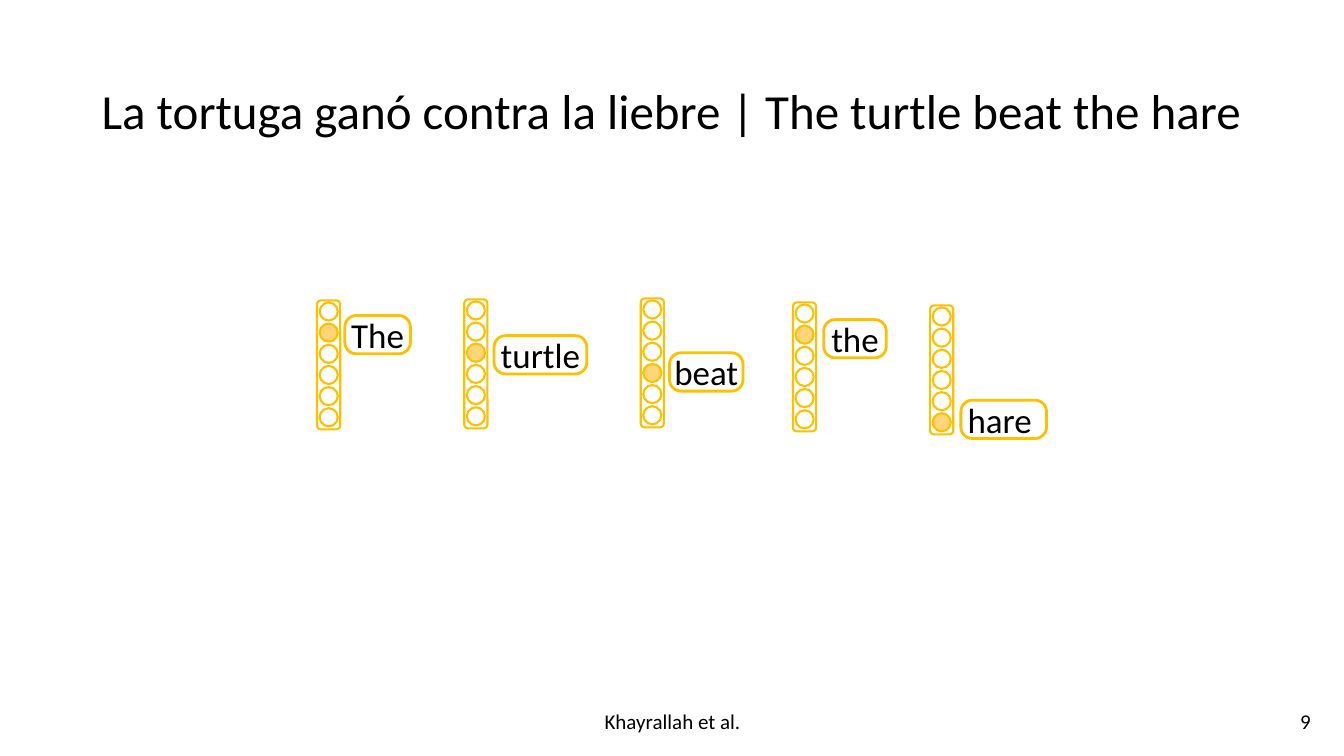
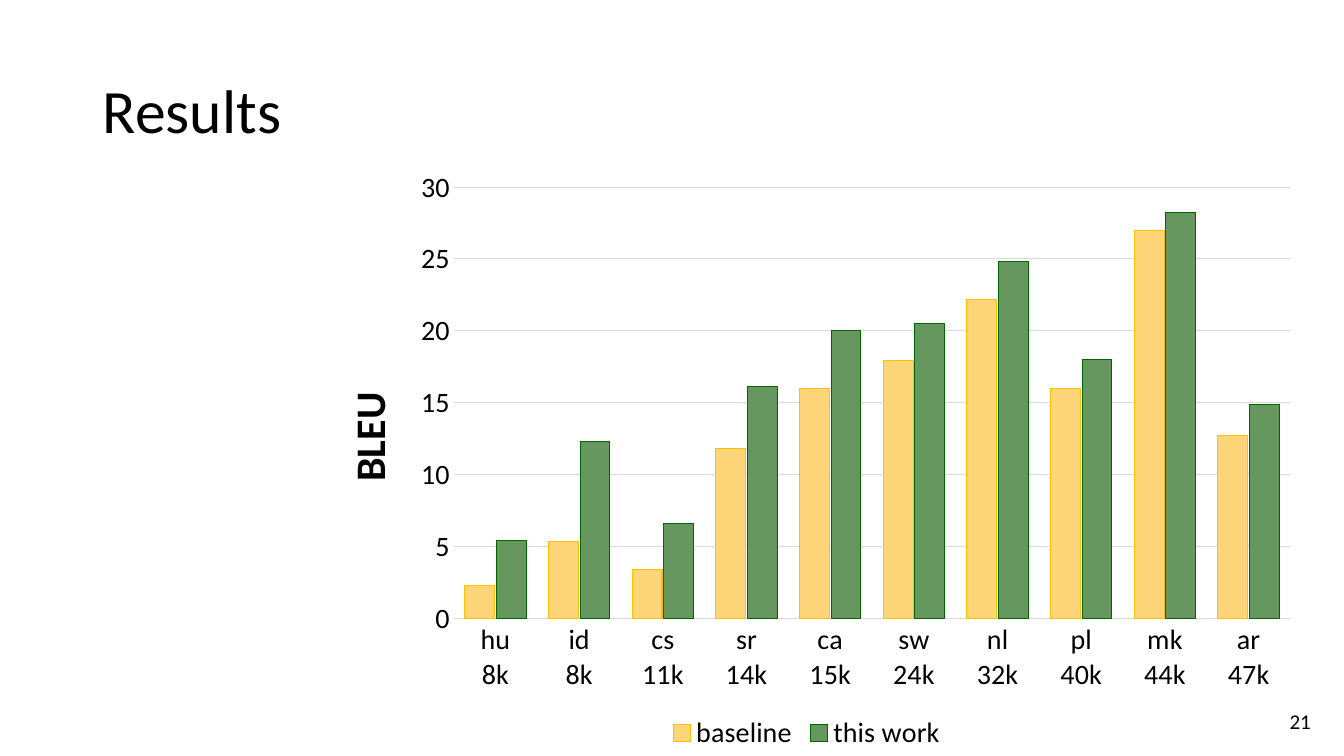
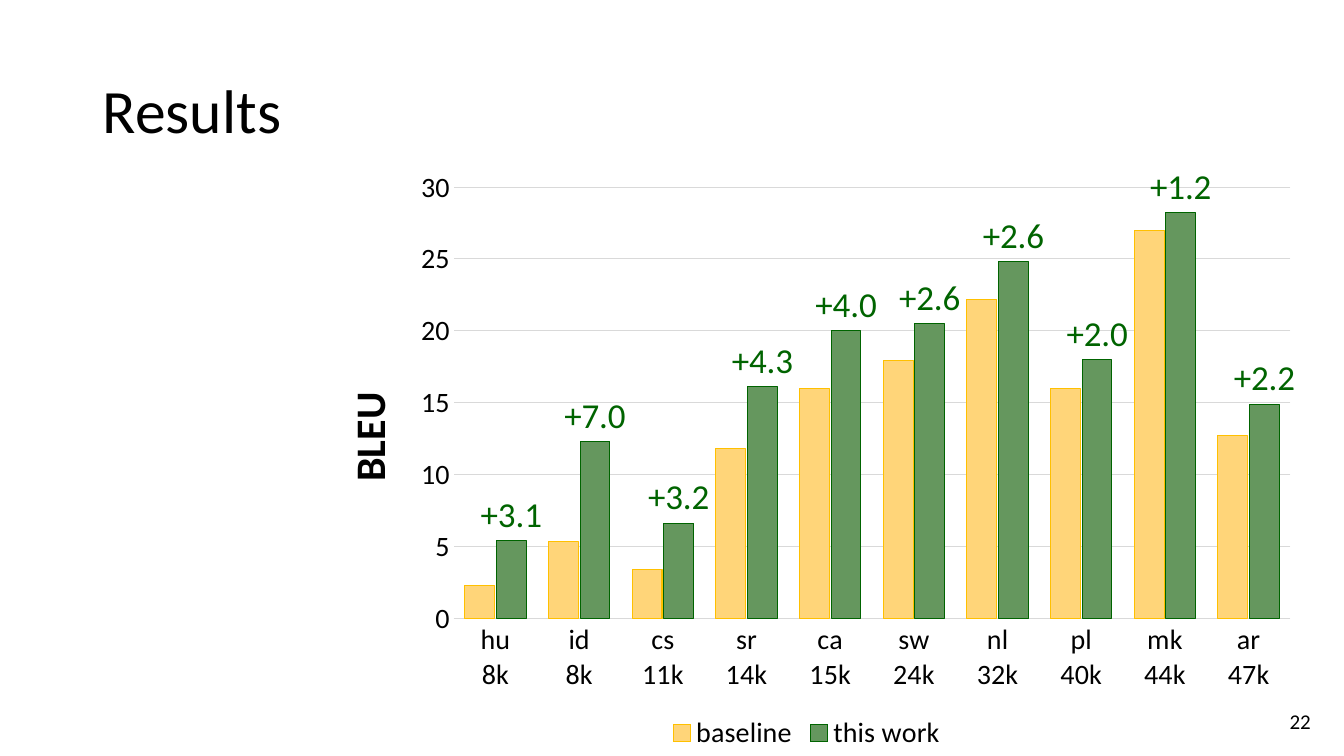
from dataclasses import dataclass

from pptx import Presentation
from pptx import util as u
from pptx.chart.chart import Chart
from pptx.chart.data import CategoryChartData
from pptx.dml.color import RGBColor
from pptx.enum import chart as charts, shapes, text
from pptx.oxml import parse_xml
from pptx.oxml.ns import nsdecls, qn
from pptx.slide import Slide

FONT = "Calibri"
BLACK = RGBColor(0x00, 0x00, 0x00)
WHITE = RGBColor(0xFF, 0xFF, 0xFF)
GOLD = RGBColor(0xFF, 0xC0, 0x00)
LIGHT_GOLD = RGBColor(0xFF, 0xD5, 0x79)
GREEN = RGBColor(0x00, 0x64, 0x00)
LIGHT_GREEN = RGBColor(0x65, 0x97, 0x5E)
GRID_GRAY = RGBColor(0xD9, 0xD9, 0xD9)

TITLE_ONLY_LAYOUT = 5

CELL_COUNT = 6
CELL_SIZE = 0.18
CELL_PITCH = 0.21
VECTOR_WIDTH = 0.23
VECTOR_HEIGHT = 1.28
LABEL_HEIGHT = 0.38


@dataclass(frozen=True)
class WordVector:
    """A one-hot column and the word that its filled cell stands for."""
    word: str
    center: float
    top: float
    hot_cell: int
    label_left: float
    label_top: float
    label_width: float


@dataclass(frozen=True)
class Language:
    code: str
    size: str
    baseline: float
    this_work: float


WORD_VECTORS = [
    WordVector("The", 3.26, 2.98, 1, 3.42, 3.13, 0.65),
    WordVector("turtle", 4.72, 2.97, 2, 4.90, 3.33, 0.92),
    WordVector("beat ", 6.47, 2.96, 3, 6.64, 3.50, 0.73),
    WordVector("the", 7.98, 3.00, 1, 8.17, 3.17, 0.62),
    WordVector("hare ", 9.34, 3.03, 5, 9.53, 3.97, 0.85),
]

LANGUAGES = [
    Language("hu", "8k", 2.3, 5.4),
    Language("id", "8k", 5.3, 12.3),
    Language("cs", "11k", 3.4, 6.6),
    Language("sr", "14k", 11.8, 16.1),
    Language("ca", "15k", 16, 20),
    Language("sw", "24k", 17.9, 20.5),
    Language("nl", "32k", 22.2, 24.8),
    Language("pl", "40k", 16, 18),
    Language("mk", "44k", 27, 28.2),
    Language("ar", "47k", 12.7, 14.9),
]


def style_font(font, size: float, color: RGBColor = BLACK) -> None:
    font.name = FONT
    font.size = u.Pt(size)
    font.color.rgb = color


def set_text(frame, content: str, size: float, align) -> None:
    """Write one wrapped, vertically centred paragraph."""
    frame.word_wrap = True
    frame.auto_size = text.MSO_AUTO_SIZE.NONE
    frame.vertical_anchor = text.MSO_ANCHOR.MIDDLE
    paragraph = frame.paragraphs[0]
    paragraph.text = content
    paragraph.alignment = align
    style_font(paragraph.runs[0].font, size)


def add_small_text(slide: Slide, content: str, left: float, width: float, align) -> None:
    box = slide.shapes.add_textbox(
        u.Inches(left), u.Inches(6.95), u.Inches(width), u.Inches(0.4))
    set_text(box.text_frame, content, 15, align)


def add_slide(presentation, title: str, number: int, left: float = 0.92,
              width: float = 11.5, size: float = 44,
              align=text.PP_ALIGN.LEFT) -> Slide:
    """Add a slide with the shared title style and slide number."""
    slide = presentation.slides.add_slide(presentation.slide_layouts[TITLE_ONLY_LAYOUT])
    shape = slide.shapes.title
    shape.left, shape.top = u.Inches(left), u.Inches(0.4)
    shape.width, shape.height = u.Inches(width), u.Inches(1.45)
    set_text(shape.text_frame, title, size, align)
    shape.text_frame.paragraphs[0].line_spacing = 0.9
    add_small_text(slide, str(number), 10.1, 3, text.PP_ALIGN.RIGHT)
    return slide


def add_outlined(container, kind, left: float, top: float, width: float,
                 height: float, fill: RGBColor | None, line_width: float):
    shape = container.add_shape(
        kind, u.Inches(left), u.Inches(top), u.Inches(width), u.Inches(height))
    shape.shadow.inherit = False
    if fill is None:
        shape.fill.background()
    else:
        shape.fill.solid()
        shape.fill.fore_color.rgb = fill
    shape.line.color.rgb = GOLD
    shape.line.width = u.Pt(line_width)
    return shape


def add_word_vector(slide: Slide, vector: WordVector) -> None:
    group = slide.shapes.add_group_shape().shapes
    add_outlined(group, shapes.MSO_SHAPE.ROUNDED_RECTANGLE,
                 vector.center - VECTOR_WIDTH / 2, vector.top,
                 VECTOR_WIDTH, VECTOR_HEIGHT, WHITE, 1.5)
    for cell in range(CELL_COUNT):
        add_outlined(group, shapes.MSO_SHAPE.OVAL, vector.center - CELL_SIZE / 2,
                     vector.top + 0.02 + cell * CELL_PITCH, CELL_SIZE, CELL_SIZE,
                     LIGHT_GOLD if cell == vector.hot_cell else WHITE, 1.5)

    label = add_outlined(slide.shapes, shapes.MSO_SHAPE.ROUNDED_RECTANGLE,
                         vector.label_left, vector.label_top,
                         vector.label_width, LABEL_HEIGHT, None, 2)
    label.adjustments[0] = 0.3
    frame = label.text_frame
    frame.margin_left = frame.margin_right = frame.margin_top = frame.margin_bottom = 0
    set_text(frame, vector.word, 25, text.PP_ALIGN.CENTER)


def set_layout(parent, index: int, target: str = "", **fractions: float) -> None:
    """Place a chart part by fractions of the chart's size."""
    existing = parent.find(qn("c:layout"))
    if existing is not None:
        parent.remove(existing)
    inner = f'<c:layoutTarget val="{target}"/>' if target else ""
    inner += '<c:xMode val="edge"/><c:yMode val="edge"/>'
    inner += "".join(f'<c:{key} val="{value}"/>' for key, value in fractions.items())
    parent.insert(index, parse_xml(
        f'<c:layout {nsdecls("c")}><c:manualLayout>{inner}</c:manualLayout></c:layout>'))


def style_axes(chart: Chart) -> None:
    category_axis, value_axis = chart.category_axis, chart.value_axis
    for axis in (category_axis, value_axis):
        axis.major_tick_mark = axis.minor_tick_mark = charts.XL_TICK_MARK.NONE
        style_font(axis.tick_labels.font, 20)
    value_axis.minimum_scale, value_axis.maximum_scale = 0, 30
    value_axis.major_unit = 5
    value_axis.format.line.fill.background()
    value_axis.has_major_gridlines = True
    for line in (category_axis.format.line, value_axis.major_gridlines.format.line):
        line.color.rgb = GRID_GRAY
        line.width = u.Pt(0.75)

    frame = value_axis.axis_title.text_frame
    frame.text = "BLEU"
    style_font(frame.paragraphs[0].runs[0].font, 30)
    title = value_axis.axis_title._element
    title.find(".//" + qn("a:bodyPr")).set("rot", "-5400000")
    set_layout(title, 1, x=0.03, y=0.38)


def add_gain_labels(chart: Chart) -> None:
    """Label each bar of this work with its gain over the baseline."""
    points = chart.plots[0].series[1].points
    for index, language in enumerate(LANGUAGES):
        label = points[index].data_label
        frame = label.text_frame
        frame.text = f"{language.this_work - language.baseline:+.1f}"
        style_font(frame.paragraphs[0].runs[0].font, 25, GREEN)
        label.position = charts.XL_LABEL_POSITION.OUTSIDE_END


def add_results_chart(slide: Slide) -> Chart:
    data = CategoryChartData()
    data.categories = [f"{language.code}\n{language.size}" for language in LANGUAGES]
    data.add_series("baseline", [language.baseline for language in LANGUAGES])
    data.add_series("this work", [language.this_work for language in LANGUAGES])
    chart = slide.shapes.add_chart(
        charts.XL_CHART_TYPE.COLUMN_CLUSTERED, u.Inches(3), u.Inches(1.56),
        u.Inches(10), u.Inches(5.94), data).chart
    style_font(chart.font, 20)
    chart.has_title = False
    chart.has_legend = True
    chart.legend.position = charts.XL_LEGEND_POSITION.BOTTOM
    chart.legend.include_in_layout = False
    style_font(chart.legend.font, 20)

    plot = chart.plots[0]
    plot.gap_width, plot.overlap = 75, -6
    plot.vary_by_categories = False
    for series, fill, line in zip(plot.series, (LIGHT_GOLD, LIGHT_GREEN), (GOLD, GREEN)):
        series.format.fill.solid()
        series.format.fill.fore_color.rgb = fill
        series.format.line.color.rgb = line
        series.format.line.width = u.Pt(0.75)

    style_axes(chart)
    plot_area = chart._chartSpace.find(".//" + qn("c:plotArea"))
    set_layout(plot_area, 0, "inner", x=0.15, y=0.05, w=0.83, h=0.72)
    return chart


def main() -> None:
    presentation = Presentation()
    presentation.slide_width = u.Inches(13.33)
    presentation.slide_height = u.Inches(7.5)

    sentence = add_slide(
        presentation, "La tortuga ganó contra la liebre | The turtle beat the hare",
        9, left=0, width=13.33, size=35, align=text.PP_ALIGN.CENTER)
    add_small_text(sentence, "Khayrallah et al.", 4.98, 3.38, text.PP_ALIGN.CENTER)
    for vector in WORD_VECTORS:
        add_word_vector(sentence, vector)

    add_results_chart(add_slide(presentation, "Results", 21))
    add_gain_labels(add_results_chart(add_slide(presentation, "Results", 22)))

    presentation.save("out.pptx")


if __name__ == "__main__":
    main()
